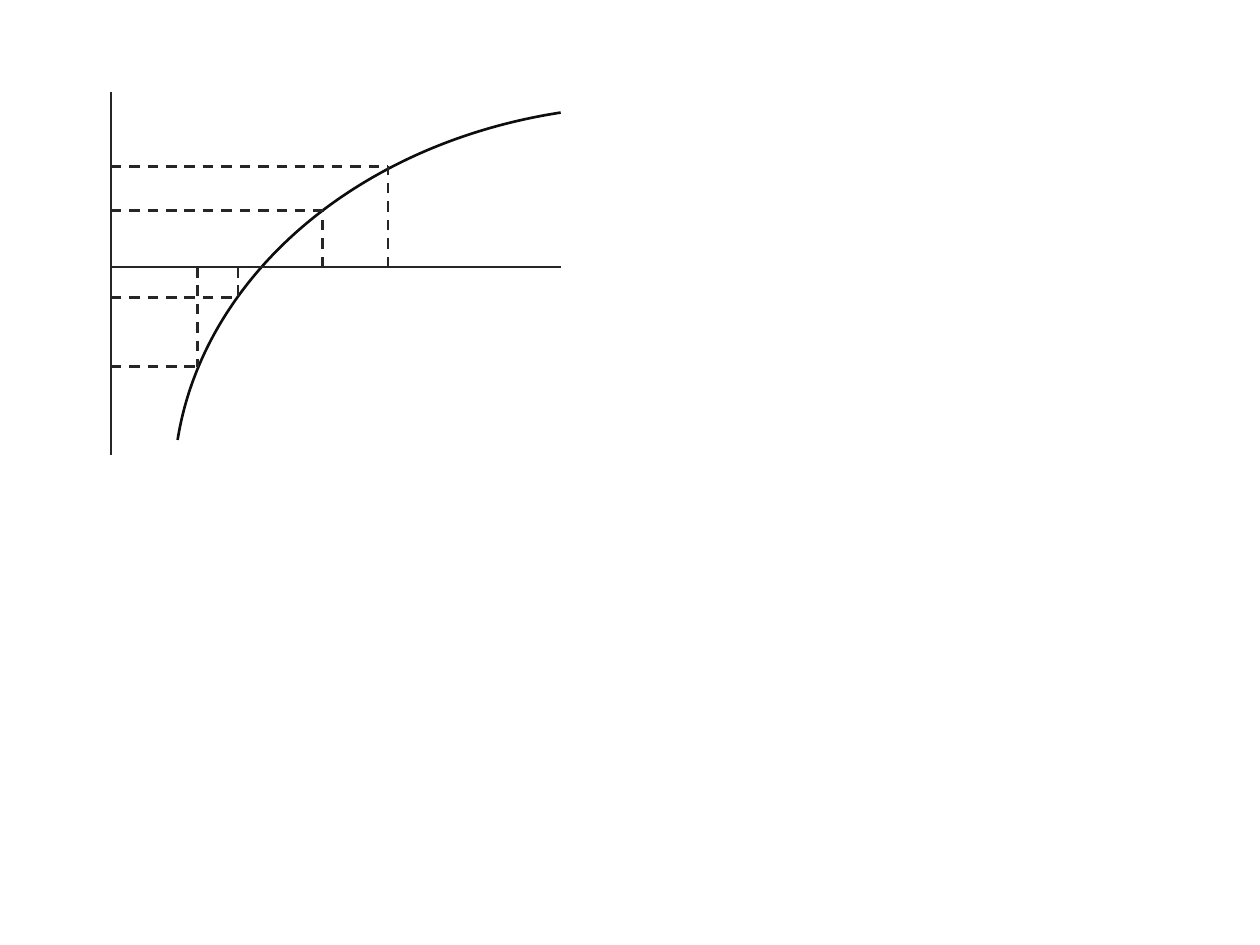
from dataclasses import dataclass

from lxml import etree
from pptx import Presentation
from pptx.dml.color import RGBColor
from pptx.enum.dml import MSO_LINE
from pptx.enum.shapes import MSO_CONNECTOR, MSO_SHAPE
from pptx.oxml.ns import qn
from pptx.util import Inches, Pt

STRAIGHT = MSO_CONNECTOR.STRAIGHT
ARC = MSO_SHAPE.ARC
DASH = MSO_LINE.DASH
ADJUSTMENT_PER_DEGREE = 0.6


@dataclass(frozen=True)
class Theme:
    """Colours and line width of the graph."""
    curve: RGBColor = RGBColor(0x0D, 0x0D, 0x0D)
    line: RGBColor = RGBColor(0x26, 0x26, 0x26)
    width: Pt = Pt(1.5)


@dataclass(frozen=True)
class Box:
    """Region of the slide in inches."""
    left: float
    top: float
    width: float
    height: float


THEME = Theme()
AXIS_HEIGHT = 1.39
CURVE_POINTS = [(0.69, 2.18), (1.01, 1.63), (1.68, 0.94), (2.2, 0.59)]


def add_line(slide, box, start, end, dash=None):
    """Draw a line between two points relative to the box."""
    line = slide.shapes.add_connector(
        STRAIGHT,
        Inches(box.left + start[0]), Inches(box.top + start[1]),
        Inches(box.left + end[0]), Inches(box.top + end[1]))
    line.line.color.rgb = THEME.line
    line.line.width = THEME.width
    if dash is not None:
        line.line.dash_style = dash
    etree.SubElement(line._element.spPr, qn("a:effectLst"))


def add_curve(slide, box):
    """Draw the concave curve as part of an ellipse."""
    curve = slide.shapes.add_shape(
        ARC, Inches(box.left + 0.5), Inches(box.top + 0.11),
        Inches(7.56), Inches(6.07))
    for index, degrees in enumerate((185.83, 256.62)):
        curve.adjustments[index] = degrees * ADJUSTMENT_PER_DEGREE
    curve.shadow.inherit = False
    curve.fill.background()
    curve.line.color.rgb = THEME.curve
    curve.line.width = THEME.width


def add_graph(slide, box):
    """Draw the curve, both axes and the dashed guides."""
    add_curve(slide, box)
    add_line(slide, box, (0, AXIS_HEIGHT), (box.width, AXIS_HEIGHT))
    add_line(slide, box, (0, box.height), (0, 0))
    for x, y in CURVE_POINTS:
        add_line(slide, box, (0, y), (x, y), DASH)
        add_line(slide, box, (x, AXIS_HEIGHT), (x, y), DASH)


def main():
    """Build and save the presentation."""
    presentation = Presentation()
    presentation.slide_width = Inches(10)
    presentation.slide_height = Inches(7.5)
    slide = presentation.slides.add_slide(presentation.slide_layouts[6])
    add_graph(slide, Box(0.88, 0.73, 3.57, 2.88))
    presentation.save("out.pptx")


main()
